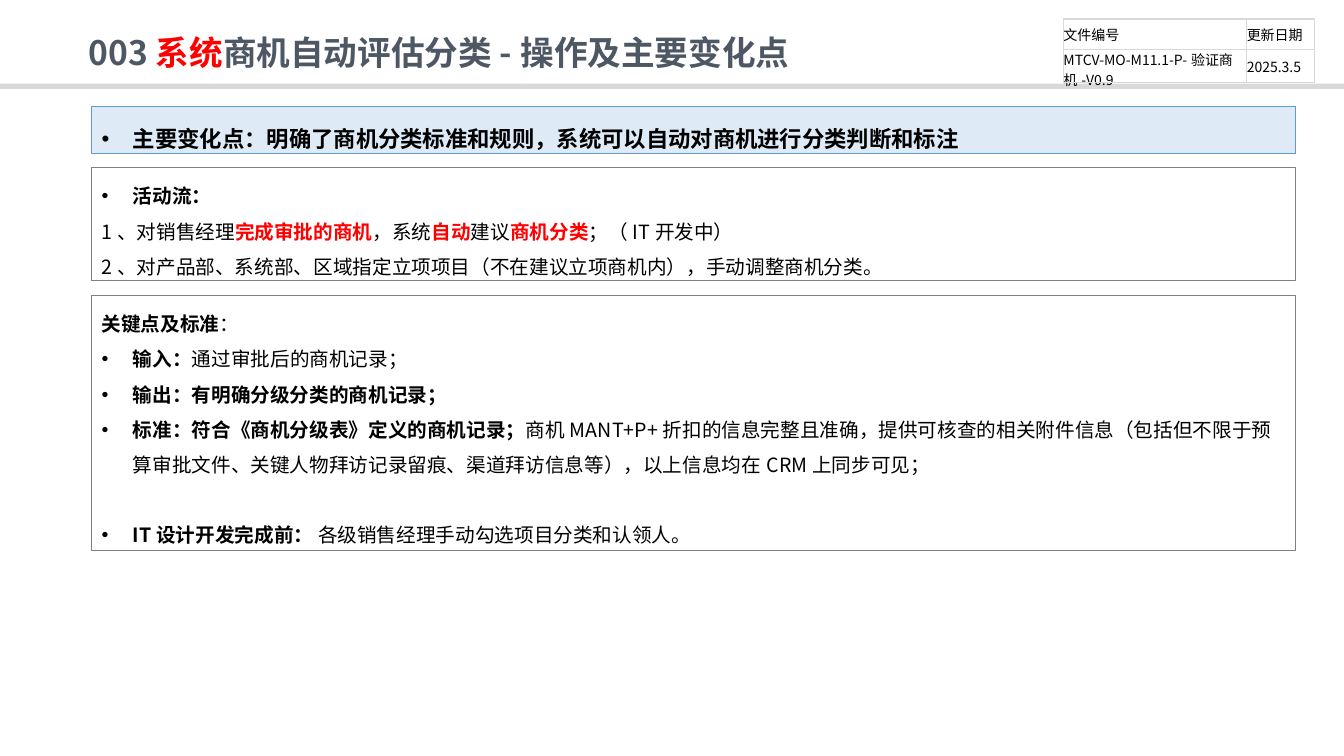
from dataclasses import dataclass

from lxml.etree import SubElement
from pptx import Presentation
from pptx.dml.color import RGBColor
from pptx.enum.shapes import MSO_SHAPE
from pptx.enum.text import MSO_ANCHOR, MSO_AUTO_SIZE, PP_ALIGN
from pptx.oxml.ns import qn
from pptx.util import Cm, Pt


@dataclass(frozen=True)
class Theme:
    """Colours, font and type sizes of the deck."""
    font: str = "Noto Sans CJK SC"
    black: str = "000000"
    red: str = "FF0000"
    slate: str = "4E5865"
    rule: str = "D9D9D9"
    pale_blue: str = "DEEBF7"
    blue: str = "5B9BD5"
    gray: str = "808080"
    title: int = 24
    headline: int = 16
    body: int = 14
    small: int = 10


THEME = Theme()
LEFT, WIDTH = 2.31, 30.33
INDENT = Cm(0.79)


def add_span(para, text, size=THEME.body, color=THEME.black, bold=False):
    """Append one formatted span to a paragraph."""
    span = para.add_run()
    span.text = text
    span.font.size = Pt(size)
    span.font.bold = bold
    span.font.name = THEME.font
    span.font.color.rgb = RGBColor.from_string(color)
    SubElement(span.font._element, qn("a:ea"), typeface=THEME.font)


def add_bullet(para):
    """Give a paragraph a round bullet with a hanging indent."""
    properties = para._p.get_or_add_pPr()
    properties.set("marL", str(INDENT))
    properties.set("indent", str(-INDENT))
    SubElement(properties, qn("a:buFont"), typeface="Arial")
    SubElement(properties, qn("a:buChar"), char="•")


def add_bar(page, left, top, width, height, fill=None, line=None):
    """Draw a flat rectangle."""
    bar = page.shapes.add_shape(MSO_SHAPE.RECTANGLE, Cm(left), Cm(top), Cm(width), Cm(height))
    bar.shadow.inherit = False
    if fill:
        bar.fill.solid()
        bar.fill.fore_color.rgb = RGBColor.from_string(fill)
    else:
        bar.fill.background()
    if line:
        bar.line.color.rgb = RGBColor.from_string(line)
        bar.line.width = Pt(0.75)
    else:
        bar.line.fill.background()
    return bar


def add_title(page, left, top, width, height):
    """Place the slide title."""
    box = page.shapes.add_textbox(Cm(left), Cm(top), Cm(width), Cm(height))
    frame = box.text_frame
    frame.word_wrap = True
    frame.vertical_anchor = MSO_ANCHOR.MIDDLE
    para = frame.paragraphs[0]
    para.line_spacing = 0.9
    for text, color in (("003", THEME.slate), ("系统", THEME.red),
                        ("商机自动评估分类-操作及主要变化点", THEME.slate)):
        add_span(para, text, size=THEME.title, color=color, bold=True)


def add_cell_borders(cell):
    """Outline a table cell with thin lines."""
    properties = cell._tc.get_or_add_tcPr()
    for index, side in enumerate(("lnL", "lnR", "lnT", "lnB")):
        border = properties.makeelement(qn(f"a:{side}"), {"w": str(Pt(1))})
        fill = SubElement(border, qn("a:solidFill"))
        SubElement(fill, qn("a:srgbClr"), val=THEME.rule)
        properties.insert(index, border)


def add_document_table(page, left, top, column_widths, row_heights):
    """Place the document number and update date table."""
    rows = (("文件编号", "更新日期"), ("MTCV-MO-M11.1-P-验证商机-V0.9", "2025.3.5"))
    table = page.shapes.add_table(len(row_heights), len(column_widths), Cm(left), Cm(top),
                                  Cm(sum(column_widths)), Cm(sum(row_heights))).table
    table.first_row = table.horz_banding = False
    for column, width in zip(table.columns, column_widths):
        column.width = Cm(width)
    for row, height, texts in zip(table.rows, row_heights, rows):
        row.height = Cm(height)
        for cell, text in zip(row.cells, texts):
            cell.fill.background()
            cell.vertical_anchor = MSO_ANCHOR.MIDDLE
            cell.margin_left = cell.margin_right = cell.margin_top = cell.margin_bottom = 0
            add_span(cell.text_frame.paragraphs[0], text, size=THEME.small)
            add_cell_borders(cell)


def add_panel(page, top, height, lines, fill=None, line=THEME.gray, size=THEME.body):
    """Place a framed panel; each line is (bulleted, space before, spans)."""
    frame = add_bar(page, LEFT, top, WIDTH, height, fill, line).text_frame
    frame.word_wrap = True
    frame.auto_size = MSO_AUTO_SIZE.SHAPE_TO_FIT_TEXT
    frame.vertical_anchor = MSO_ANCHOR.TOP
    for index, (bulleted, space_before, spans) in enumerate(lines):
        para = frame.add_paragraph() if index else frame.paragraphs[0]
        para.alignment = PP_ALIGN.LEFT
        para.line_spacing = 1.5
        if space_before:
            para.space_before = Pt(space_before)
        if bulleted:
            add_bullet(para)
        for text, style in spans:
            add_span(para, text, size=size, **style)


def build_page(page):
    """Compose the header and the three panels."""
    plain, strong = {}, {"bold": True}
    alert = {"bold": True, "color": THEME.red}
    add_bar(page, 0, 2.11, 33.87, 0.13, fill=THEME.rule)
    add_title(page, 1.98, 0.79, 24.5, 1.19)
    add_document_table(page, 26.8, 0.48, (4.62, 1.7), (0.76, 0.74))
    add_panel(page, 2.69, 1.17, [
        (True, 0, [("主要变化点：明确了商机分类标准和规则，系统可以自动对商机进行分类判断和标注", strong)]),
    ], fill=THEME.pale_blue, line=THEME.blue, size=THEME.headline)
    add_panel(page, 4.22, 2.84, [
        (True, 0, [("活动流：", strong)]),
        (False, 0, [("1、对销售经理", plain), ("完成审批的商机", alert), ("，系统", plain),
                    ("自动", alert), ("建议", plain), ("商机分类", alert),
                    ("；（IT开发中）", plain)]),
        (False, 0, [("2、对产品部、系统部、区域指定立项项目（不在建议立项商机内），手动调整商机分类。", plain)]),
    ])
    add_panel(page, 7.44, 6.43, [
        (False, 0, [("关键点及标准", strong), ("：", plain)]),
        (True, 0, [("输入：", strong), ("通过审批后的商机记录；", plain)]),
        (True, 0, [("输出：有明确分级分类的商机记录；", strong)]),
        (True, 0, [("标准：符合《商机分级表》定义的商机记录；", strong),
                   ("商机MANT+P+折扣的信息完整且准确，提供可核查的相关附件信息（包括但不限于预算审批文件、"
                    "关键人物拜访记录留痕、渠道拜访信息等），以上信息均在CRM上同步可见；", plain)]),
        (True, 25, [("IT设计开发完成前： ", strong), ("各级销售经理手动勾选项目分类和认领人。", plain)]),
    ])


def main():
    """Build and save the deck."""
    deck = Presentation()
    deck.slide_width, deck.slide_height = Cm(33.87), Cm(19.05)
    build_page(deck.slides.add_slide(deck.slide_layouts[6]))
    deck.save("out.pptx")


if __name__ == "__main__":
    main()
